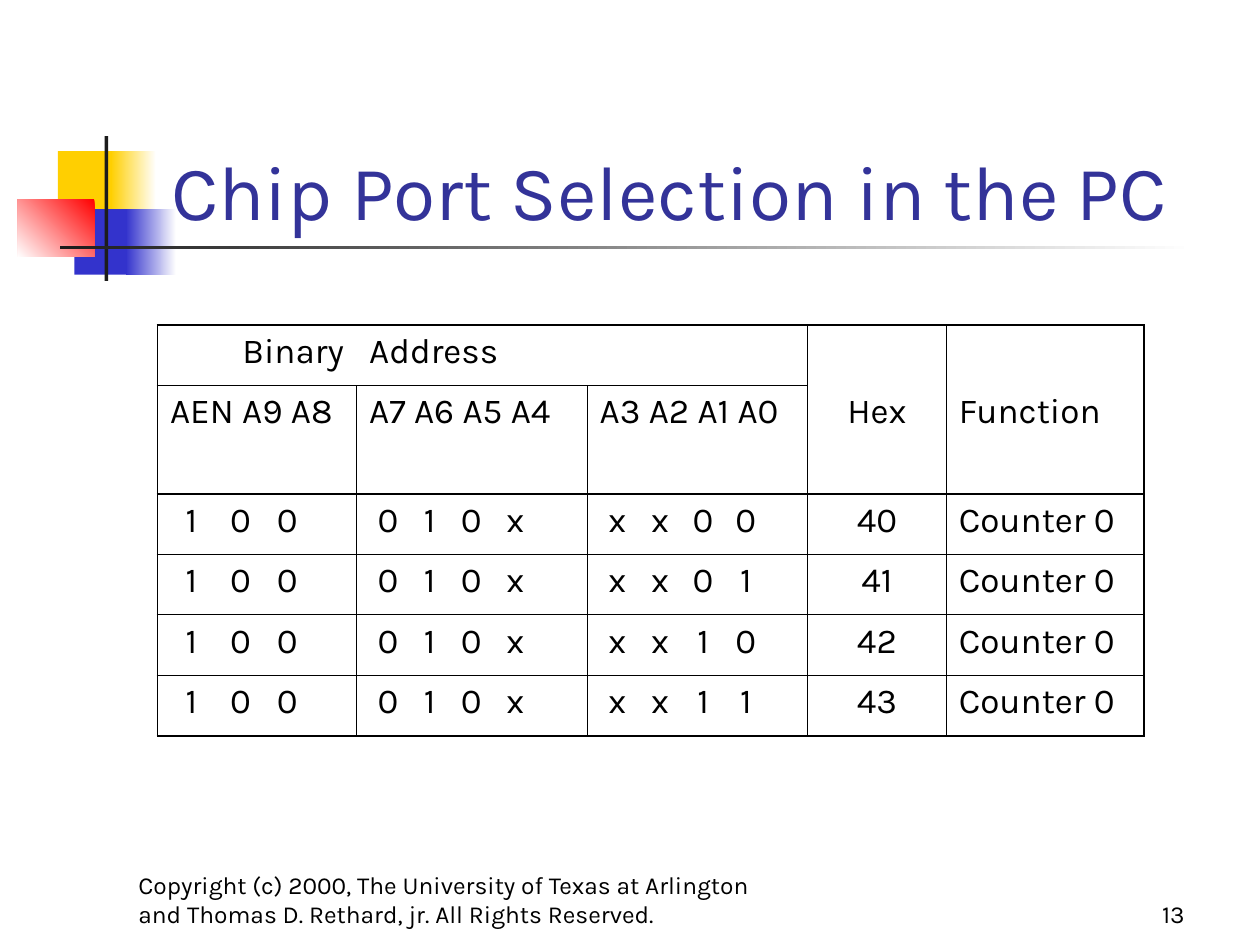
from lxml.etree import SubElement
from pptx import Presentation
from pptx.dml.color import RGBColor
from pptx.enum.shapes import MSO_SHAPE as Shape
from pptx.enum.text import MSO_ANCHOR as Anchor, MSO_AUTO_SIZE as AutoSize, PP_ALIGN as Align
from pptx.oxml import parse_xml
from pptx.oxml.ns import nsdecls, qn
from pptx.util import Inches, Pt

FONT = "Karla"
BLACK = "000000"
WHITE = "FFFFFF"
YELLOW = "FFCF01"
BLUE = "3333CC"
RED = "FF0000"
DARK = "1C1C1C"
THIN, THICK = 0.45, 1.08

COLUMN_WIDTHS = [1.58, 1.83, 1.75, 1.1, 1.57]
ROW_HEIGHTS = [0.48, 0.86] + [0.48] * 4
HEADERS = [
    ["Binary", "Address", "", "", ""],
    ["AEN A9 A8", "A7 A6 A5 A4", "A3 A2 A1 A0", "Hex", "Function"],
]
PORTS = [("00", "40"), ("01", "41"), ("10", "42"), ("11", "43")]
BIT_STOPS = [
    [0.17, 0.56, 0.93],
    [0.15, 0.48, 0.81, 1.16],
    [0.14, 0.48, 0.82, 1.16],
]


def color(value):
    return RGBColor.from_string(value)


def add_text(paragraph, text, size, value=BLACK, align=Align.LEFT):
    paragraph.alignment = align
    run = paragraph.add_run()
    run.text = text
    run.font.name = FONT
    run.font.size = Pt(size)
    run.font.color.rgb = color(value)


def add_block(slide, box, first, last=None, angle=0):
    shape = slide.shapes.add_shape(Shape.RECTANGLE, *map(Inches, box))
    shape.shadow.inherit = False
    shape.line.fill.background()
    if last is None:
        shape.fill.solid()
        shape.fill.fore_color.rgb = color(first)
        return
    shape.fill.gradient()
    shape.fill.gradient_angle = angle
    for stop, value in zip(shape.fill.gradient_stops, (first, last)):
        stop.color.rgb = color(value)


def add_ornament(slide, left, top):
    blocks = [
        (0.32, 0.12, 0.48, 0.52, YELLOW),
        (0.74, 0.12, 0.36, 0.52, WHITE, YELLOW, 180),
        (0.45, 0.58, 0.46, 0.52, BLUE),
        (0.86, 0.58, 0.4, 0.52, WHITE, BLUE, 180),
        (0, 0.5, 0.61, 0.46, RED, WHITE, 225),
        (0.69, 0, 0.03, 1.15, DARK),
        (0.34, 0.87, 9, 0.03, WHITE, DARK, 180),
    ]
    for x, y, width, height, *paint in blocks:
        add_block(slide, (left + x, top + y, width, height), *paint)


def fill_title(slide, box, text):
    title = slide.shapes.title
    title.left, title.top, title.width, title.height = map(Inches, box)
    frame = title.text_frame
    frame.auto_size = AutoSize.NONE
    frame.vertical_anchor = Anchor.BOTTOM
    add_text(frame.paragraphs[0], text, 44, "333399")


def add_tab_stops(paragraph, stops):
    tabs = SubElement(paragraph._p.get_or_add_pPr(), qn("a:tabLst"))
    for stop in stops:
        SubElement(tabs, qn("a:tab"), pos=str(Inches(stop)), algn="ctr")


def horizontal_weight(edge, column):
    if edge == 1 and column >= 3:
        return None
    return THICK if edge in (0, 2, len(ROW_HEIGHTS)) else THIN


def vertical_weight(row, edge):
    if row == 0 and edge in (1, 2):
        return None
    return THICK if edge in (0, len(COLUMN_WIDTHS)) else THIN


def set_borders(cell, row, column):
    weights = {
        "lnL": vertical_weight(row, column),
        "lnR": vertical_weight(row, column + 1),
        "lnT": horizontal_weight(row, column),
        "lnB": horizontal_weight(row + 1, column),
    }
    properties = cell._tc.get_or_add_tcPr()
    for position, (side, weight) in enumerate(weights.items()):
        paint = "<a:noFill/>"
        if weight:
            paint = f'<a:solidFill><a:srgbClr val="{BLACK}"/></a:solidFill>'
        border = parse_xml(
            f'<a:{side} {nsdecls("a")} w="{Pt(weight or 0)}">{paint}</a:{side}>')
        properties.insert(position, border)


def add_port_table(slide, left, top):
    port_rows = [["100", "010x", "xx" + bits, port, "Counter 0"] for bits, port in PORTS]
    rows = HEADERS + port_rows
    table = slide.shapes.add_table(
        len(rows), len(COLUMN_WIDTHS), Inches(left), Inches(top),
        Inches(sum(COLUMN_WIDTHS)), Inches(sum(ROW_HEIGHTS))).table
    table.first_row = table.horz_banding = False
    for column, width in zip(table.columns, COLUMN_WIDTHS):
        column.width = Inches(width)
    for row, height in zip(table.rows, ROW_HEIGHTS):
        row.height = Inches(height)
    for i, texts in enumerate(rows):
        for j, text in enumerate(texts):
            cell = table.cell(i, j)
            cell.fill.background()
            set_borders(cell, i, j)
            if not text:
                continue
            paragraph = cell.text_frame.paragraphs[0]
            if i >= len(HEADERS) and j < len(BIT_STOPS):
                add_tab_stops(paragraph, BIT_STOPS[j])
                text = "".join("\t" + bit for bit in text)
            align = Align.CENTER if j == 3 else Align.LEFT
            if (i, j) == (0, 0):
                align = Align.RIGHT
            add_text(paragraph, text, 20, align=align)


def add_footer(slide, box, text, align):
    frame = slide.shapes.add_textbox(*map(Inches, box)).text_frame
    frame.word_wrap = True
    frame.vertical_anchor = Anchor.BOTTOM
    add_text(frame.paragraphs[0], text, 14, align=align)


def main():
    presentation = Presentation()
    presentation.slide_width = Inches(10)
    presentation.slide_height = Inches(7.5)
    slide = presentation.slides.add_slide(presentation.slide_layouts[5])
    add_ornament(slide, 0.14, 1.08)
    fill_title(slide, (1.26, 0.67, 8.52, 1.25), "Chip Port Selection in the PC")
    add_port_table(slide, 1.25, 2.58)
    add_footer(slide, (7.42, 6.92, 2.08, 0.5), "13", Align.RIGHT)
    add_footer(
        slide, (1, 6.92, 5.42, 0.5),
        "Copyright (c) 2000, The University of Texas at Arlington "
        "and Thomas D. Rethard, jr. All Rights Reserved.", Align.LEFT)
    presentation.save("out.pptx")


if __name__ == "__main__":
    main()
